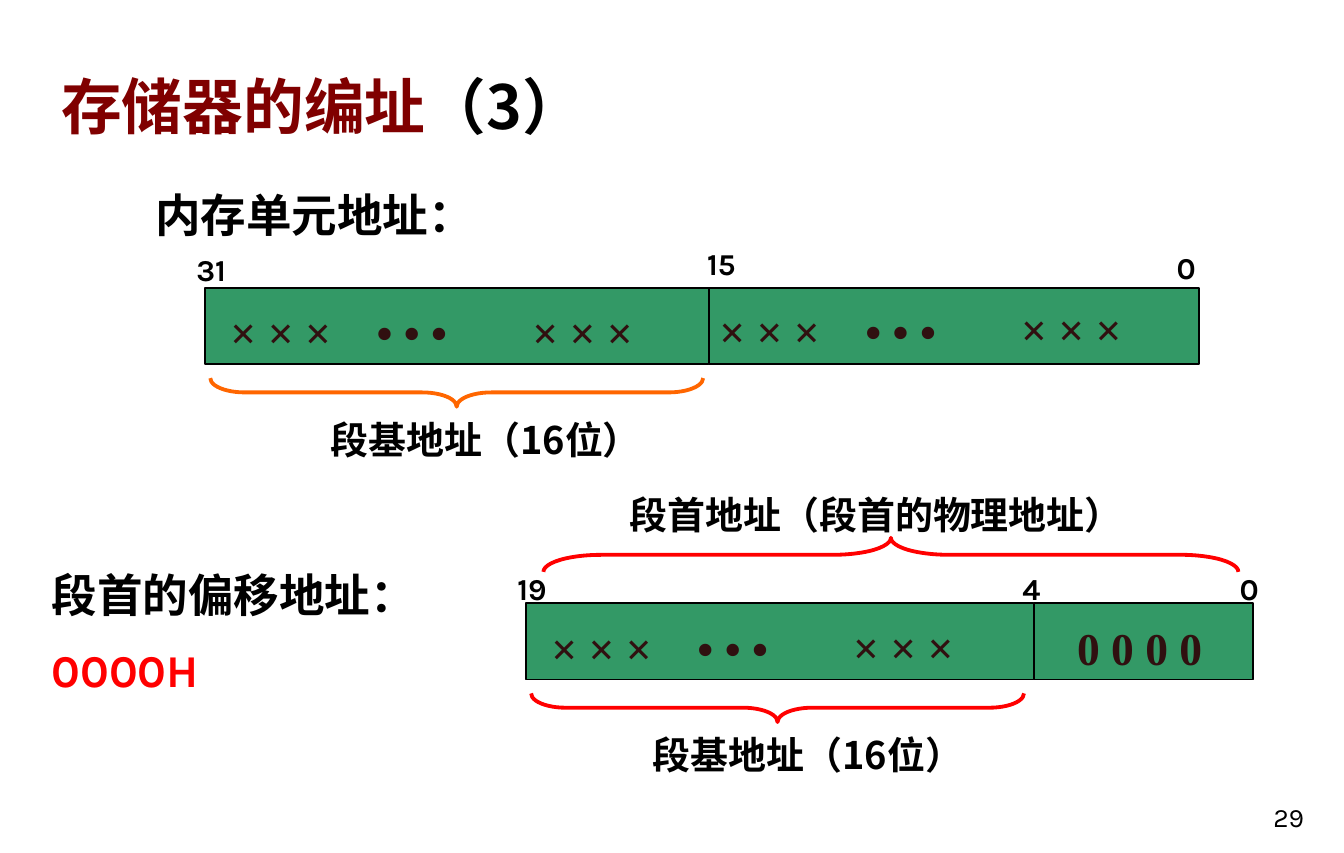
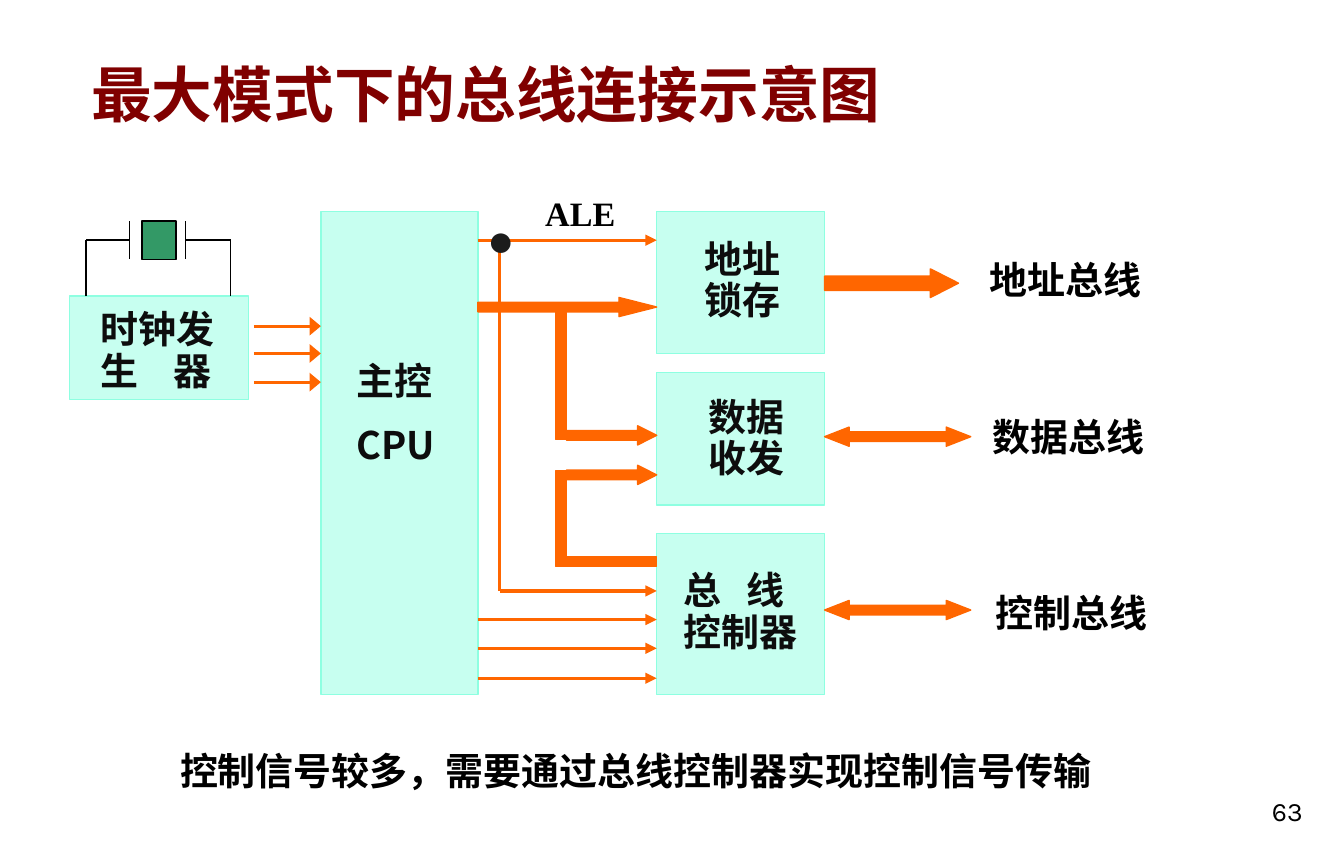
import dataclasses

import lxml.etree
import pptx
import pptx.dml.color
import pptx.enum.shapes
import pptx.enum.text
import pptx.oxml.ns
import pptx.util

Inches = pptx.util.Inches
Pt = pptx.util.Pt
SHAPES = pptx.enum.shapes.MSO_SHAPE
ALIGN = pptx.enum.text.PP_ALIGN
ANCHOR = pptx.enum.text.MSO_ANCHOR
qn = pptx.oxml.ns.qn


@dataclasses.dataclass(frozen=True)
class Style:
    font: str
    size: int
    color: str
    bold: bool = True
    pitch: float = 0  # line height in ems, 0 for the font's own


@dataclasses.dataclass(frozen=True)
class Theme:
    black: str = "000000"
    red: str = "FF0000"
    orange: str = "FF6600"
    green: str = "339966"
    mint: str = "C7FFF0"
    mint_edge: str = "8EFFE1"
    han: str = "Noto Sans CJK SC"
    sans: str = "Karla"
    serif: str = "Times New Roman"
    title: Style = Style(han, 32, "800000", pitch=1.19)
    heading: Style = Style(han, 24, black, pitch=1.19)
    label: Style = Style(han, 20, black, pitch=1.19)
    block: Style = Style(han, 20, "0D0D0D", pitch=1.19)
    tight_block: Style = Style(han, 20, "0D0D0D", pitch=0.6)
    value: Style = Style(sans, 24, red)
    bit_number: Style = Style(sans, 16, black)
    bits: Style = Style(serif, 24, "301010")
    signal: Style = Style(serif, 18, black)
    junction: Style = Style(serif, 24, "1C1C1C", bold=False)
    page: Style = Style(sans, 14, black, bold=False)


THEME = Theme()


def rgb(color):
    return pptx.dml.color.RGBColor.from_string(color)


# Shared helpers
def text(slide, box, lines, gap=10, align=None, anchor=ANCHOR.TOP, tab=None):
    """Place a text box; lines are pairs of wording and style."""
    frame = slide.shapes.add_textbox(*map(Inches, box)).text_frame
    frame.word_wrap = True
    frame.vertical_anchor = anchor
    for index, (wording, style) in enumerate(lines):
        paragraph = frame.add_paragraph() if index else frame.paragraphs[0]
        paragraph.add_run().text = wording
        paragraph.alignment = align
        if style.pitch:
            paragraph.line_spacing = Pt(round(style.size * style.pitch))
        if index:
            paragraph.space_before = Pt(gap)
        if tab:
            stops = lxml.etree.SubElement(paragraph._p.get_or_add_pPr(), qn("a:tabLst"))
            lxml.etree.SubElement(stops, qn("a:tab"), pos=str(Inches(tab)), algn="l")
        font = paragraph.font
        font.size, font.bold, font.name = Pt(style.size), style.bold, style.font
        font.color.rgb = rgb(style.color)
        latin = font._element.find(qn("a:latin"))
        latin.addnext(latin.makeelement(qn("a:ea"), {"typeface": style.font}))
    return frame


def shape(slide, kind, box, fill, edge, width=0.75, adjust=()):
    item = slide.shapes.add_shape(kind, *map(Inches, box))
    item.shadow.inherit = False
    if fill:
        item.fill.solid()
        item.fill.fore_color.rgb = rgb(fill)
    else:
        item.fill.background()
    item.line.color.rgb = rgb(edge)
    item.line.width = Pt(width)
    for index, amount in enumerate(adjust):
        item.adjustments[index] = amount
    return item


def line(slide, start, end, color, width, head=None):
    """Draw a line; head is the arrowhead width, med or lg."""
    item = slide.shapes.add_connector(
        pptx.enum.shapes.MSO_CONNECTOR.STRAIGHT, *map(Inches, (*start, *end)))
    item.line.color.rgb = rgb(color)
    item.line.width = Pt(width)
    if head:
        lxml.etree.SubElement(item.line._get_or_add_ln(), qn("a:tailEnd"),
                              type="triangle", w=head)
    lxml.etree.SubElement(item._element.spPr, qn("a:effectLst"))


def new_slide(deck, title_box, title, page_at, page, suffix=""):
    slide = deck.slides.add_slide(deck.slide_layouts[6])
    frame = text(slide, title_box, [(title, THEME.title)], anchor=ANCHOR.BOTTOM)
    if suffix:
        run = frame.paragraphs[0].add_run()
        run.text = suffix
        run.font.color.rgb = rgb(THEME.black)
    text(slide, (*page_at, 0.62, 0.42), [(page, THEME.page)],
         align=ALIGN.RIGHT, anchor=ANCHOR.BOTTOM)
    return slide


# Address layout parts
def brace(slide, box, color, adjust, rotation):
    """Lay a left brace across the given wide box."""
    x, y, w, h = box
    upright = (x + (w - h) / 2, y + (h - w) / 2, h, w)
    item = shape(slide, SHAPES.LEFT_BRACE, upright, None, color, 2, (adjust, 0.5))
    item.rotation = rotation


def register(slide, x, y, cell_widths, bit_numbers):
    """Draw adjoining cells with bit numbers placed relative to the corner."""
    left = x
    for width in cell_widths:
        shape(slide, SHAPES.RECTANGLE, (left, y, width, 0.56), THEME.green, THEME.black, 1)
        left += width
    for number, dx, dy in bit_numbers:
        text(slide, (x + dx, y + dy, 0.62, 0.37), [(number, THEME.bit_number)])


def unknown_bits(slide, x, y, last_dy=0):
    text(slide, (x, y, 2.3, 0.51), [("× × ×\t• • •", THEME.bits)], tab=1.07)
    text(slide, (x + 2.21, y + last_dy, 1.48, 0.5), [("× × ×", THEME.bits)])


def memory_address(slide, x, y):
    register(slide, x, y, (3.69, 3.59),
             (("31", -0.16, -0.32), ("15", 3.58, -0.36), ("0", 7.02, -0.33)))
    unknown_bits(slide, x + 0.09, y + 0.07)
    unknown_bits(slide, x + 3.67, y + 0.06, -0.01)
    text(slide, (x - 0.46, y - 0.79, 3.5, 0.51), [("内存单元地址：", THEME.heading)])
    brace(slide, (x + 0.04, y + 0.66, 3.61, 0.21), THEME.orange, 1.2, 270)
    text(slide, (x + 0.82, y + 0.89, 2.54, 0.44), [("段基地址（16位）", THEME.label)])


def segment_address(slide, x, y):
    register(slide, x, y, (3.72, 1.61),
             (("19", -0.16, -0.29), ("4", 3.54, -0.29), ("0", 5.13, -0.29)))
    unknown_bits(slide, x + 0.09, y + 0.07)
    text(slide, (x + 3.94, y + 0.07, 1.23, 0.51), [("0 0 0 0", THEME.bits)])
    brace(slide, (x + 0.13, y - 0.48, 5.09, 0.25), THEME.red, 1.69, 90)
    text(slide, (x + 0.66, y - 0.87, 4.3, 0.44),
         [("段首地址（段首的物理地址）", THEME.label)])
    brace(slide, (x + 0.04, y + 0.66, 3.61, 0.21), THEME.red, 1.2, 270)
    text(slide, (x + 0.83, y + 0.89, 2.95, 0.44), [("段基地址（16位）", THEME.label)])


def addressing_slide(deck):
    slide = new_slide(deck, (0.35, 0.13, 6.78, 0.96), "存储器的编址",
                      (9.03, 5.73), "29", suffix="（3）")
    memory_address(slide, 1.5, 2.11)
    segment_address(slide, 3.85, 4.42)
    text(slide, (0.28, 4.1, 3.33, 1.08),
         [("段首的偏移地址：", THEME.heading), ("0000H", THEME.value)], gap=11)


# Bus diagram parts
def block(slide, box, lines, dx, dy, style=THEME.tight_block, tab=None):
    x, y, w, h = box
    shape(slide, SHAPES.RECTANGLE, box, THEME.mint, THEME.mint_edge)
    text(slide, (x + dx, y + dy, w - dx, h - dy),
         [(wording, style) for wording in lines], tab=tab)


def bus(slide, kind, box, *adjust):
    shape(slide, kind, box, THEME.orange, THEME.orange, adjust=adjust)


def clock(slide, x, y):
    """Clock generator with its crystal above and three outputs."""
    block(slide, (x, y, 1.31, 0.76), ("时钟发", "生\t器"), 0.13, 0.19, tab=0.53)
    wire_y = y - 0.41
    for terminal, plate in ((x + 0.12, x + 0.44), (x + 1.18, x + 0.85)):
        for start, end in (((terminal, y), (terminal, wire_y)),
                           ((terminal, wire_y), (plate, wire_y)),
                           ((plate, wire_y - 0.14), (plate, wire_y + 0.14))):
            line(slide, start, end, THEME.black, 0.75)
    shape(slide, SHAPES.RECTANGLE, (x + 0.53, wire_y - 0.14, 0.25, 0.28),
          THEME.green, THEME.black)
    for dy in (0.22, 0.42, 0.63):
        line(slide, (x + 1.35, y + dy), (x + 1.84, y + dy), THEME.orange, 1.5, "lg")


def internal_buses(slide, left, right):
    """Signals and wide buses between the processor and the interface chips."""
    for y in (1.76, 4.54, 4.75, 4.97):
        line(slide, (left, y), (right, y), THEME.orange, 1.75, "med")
    branch = left + 0.16
    line(slide, (branch, 1.76), (branch, 4.33), THEME.orange, 1.75)
    line(slide, (branch, 4.33), (right, 4.33), THEME.orange, 1.75, "med")
    text(slide, (left - 0.03, 1.5, 0.41, 0.5), [("●", THEME.junction)])
    text(slide, (left + 0.26, 1.36, 0.98, 0.4), [("ALE", THEME.signal)], align=ALIGN.CENTER)

    bus(slide, SHAPES.RIGHT_ARROW, (left, 2.18, right - left, 0.14), 0.5, 1.97)
    trunk = left + 0.57
    for y in (3.12, 3.41):
        bus(slide, SHAPES.RIGHT_ARROW, (trunk + 0.08, y, 0.66, 0.14), 0.5, 0.99)
    for box in ((trunk, 2.29, 0.08, 0.93), (trunk, 3.45, 0.08, 0.69),
                (trunk, 4.08, right - trunk, 0.07)):
        bus(slide, SHAPES.RECTANGLE, box)


def system_buses(slide, x):
    bus(slide, SHAPES.RIGHT_ARROW, (x, 1.97, 0.98, 0.21), 0.5, 0.98)
    for y in (3.13, 4.4):
        bus(slide, SHAPES.LEFT_RIGHT_ARROW, (x, y, 1.07, 0.14), 0.5, 1.28)
    for name, dx, y in (("地址总线", 1.11, 1.83), ("数据总线", 1.13, 2.98),
                        ("控制总线", 1.15, 4.27)):
        text(slide, (x + dx, y, 1.95, 0.43), [(name, THEME.label)])


def bus_slide(deck):
    slide = new_slide(deck, (0.57, 0.21, 8.39, 0.79), "最大模式下的总线连接示意图",
                      (9.02, 5.69), "63")
    cpu_x, cpu_w, chip_x, chip_w = 2.35, 1.15, 4.81, 1.23
    block(slide, (cpu_x, 1.55, cpu_w, 3.54), ("主控", "CPU"), 0.16, 1.02, THEME.block)
    block(slide, (chip_x, 1.55, chip_w, 1.04), ("地址", "锁存"), 0.25, 0.29)
    block(slide, (chip_x, 2.73, chip_w, 0.97), ("数据", "收发"), 0.28, 0.27)
    block(slide, (chip_x, 3.91, chip_w, 1.18), ("总\t线", "控制器"), 0.1, 0.36, tab=0.46)
    clock(slide, 0.51, 2.17)
    internal_buses(slide, cpu_x + cpu_w, chip_x)
    system_buses(slide, chip_x + chip_w)
    text(slide, (1.22, 5.43, 7.19, 0.44),
         [("控制信号较多，需要通过总线控制器实现控制信号传输", THEME.label)])


def main():
    deck = pptx.Presentation()
    deck.slide_width, deck.slide_height = Inches(9 + 27 / 32), Inches(6.25)
    addressing_slide(deck)
    bus_slide(deck)
    deck.save("out.pptx")


if __name__ == "__main__":
    main()
